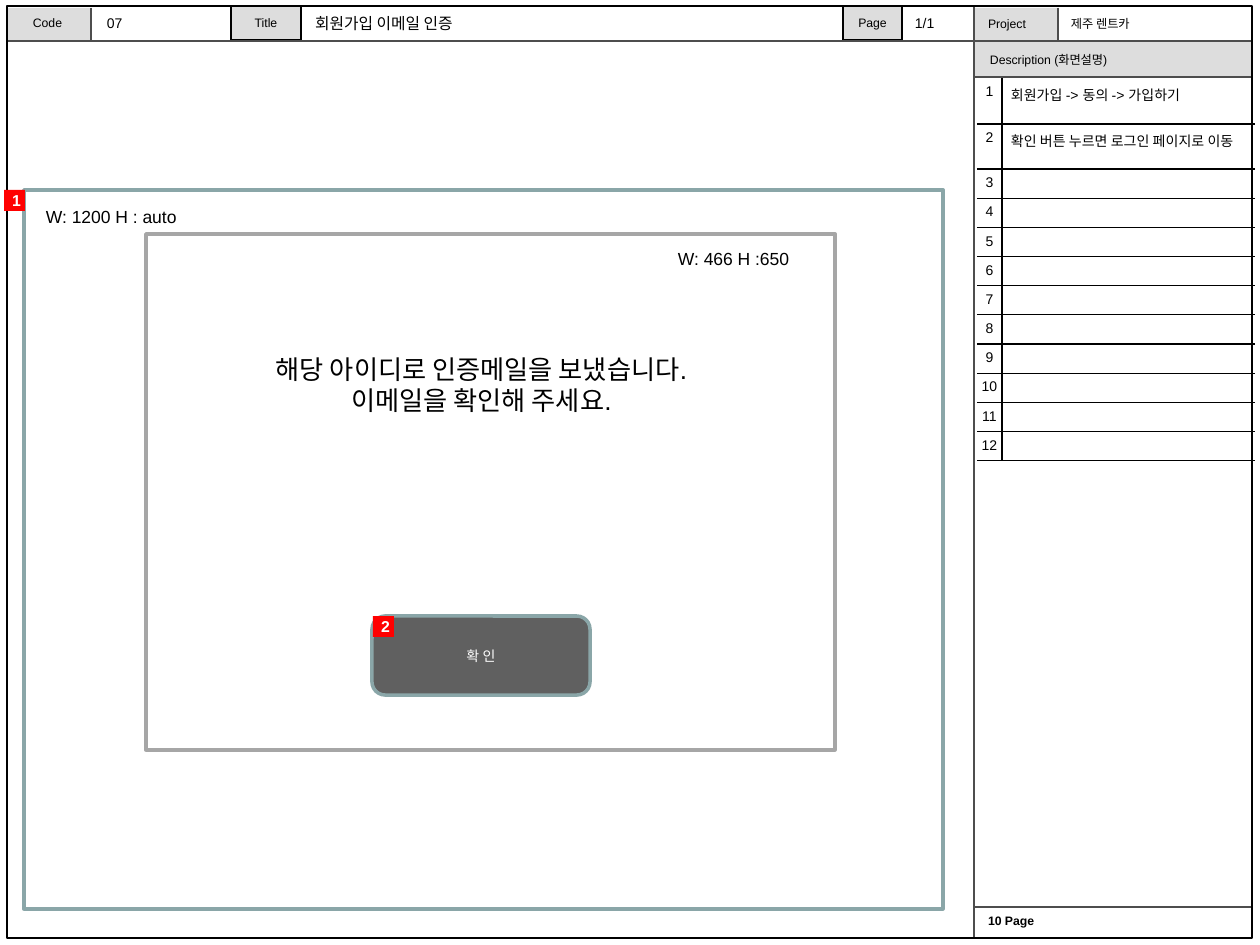
from lxml.etree import SubElement
from pptx import Presentation
from pptx.dml.color import RGBColor
from pptx.enum.shapes import MSO_CONNECTOR, MSO_SHAPE
from pptx.enum.text import MSO_ANCHOR, MSO_AUTO_SIZE, PP_ALIGN
from pptx.oxml.ns import qn
from pptx.util import Pt

PX = 914400 / 126
BLACK = RGBColor(0, 0, 0)
WHITE = RGBColor(255, 255, 255)
LABEL_GRAY = RGBColor(0xDD, 0xDD, 0xDD)
RULE_GRAY = RGBColor(0x4D, 0x4D, 0x4D)
PANEL_GRAY = RGBColor(0xA6, 0xA6, 0xA6)
BUTTON_GRAY = RGBColor(0x60, 0x60, 0x60)
TEAL = RGBColor(0x8A, 0xA6, 0xA8)
RED = RGBColor(255, 0, 0)
LEFT, CENTER = PP_ALIGN.LEFT, PP_ALIGN.CENTER
TOP, MIDDLE = MSO_ANCHOR.TOP, MSO_ANCHOR.MIDDLE
INSETS = (13, 6, 13, 6)
PLAIN_TABLE = "{2D5ABB26-0587-4C30-8999-92F81FD0307C}"

RULES = [
    (974, 6, 974, 939),
    (8, 41, 1252, 41),
    (1058, 8, 1058, 41),
    (975, 907, 1252, 907),
    (975, 77, 1252, 77),
    (91, 8, 91, 41),
]
HEADER_TEXTS = [
    ("Code", (7, 6, 81, 34), dict(size=7, align=CENTER, anchor=MIDDLE)),
    ("Project", (975, 10, 83, 30), dict(size=7)),
    ("제주 렌트카", (1058, 10, 189, 30), dict(size=7)),
    ("10 Page", (978, 908, 270, 30), dict(size=7, bold=True, insets=(10, 5, 10, 5))),
    ("07", (94, 6, 129, 33), dict(size=8, anchor=MIDDLE)),
    ("1/1", (902, 6, 66, 33), dict(size=8, anchor=MIDDLE)),
]
DESCRIPTIONS = ["회원가입 -> 동의 -> 가입하기", "확인 버튼 누르면 로그인 페이지로 이동"] + [""] * 10


def px(value):
    """Turn pixels into EMU."""
    return round(value * PX)


def write(frame, text, size, color=BLACK, bold=False, align=LEFT, anchor=TOP,
          insets=INSETS, wrap=True):
    """Fill a text frame with formatted lines."""
    left, top, right, bottom = map(px, insets)
    settings = dict(text=text, word_wrap=wrap, auto_size=MSO_AUTO_SIZE.NONE,
                    vertical_anchor=anchor, margin_left=left, margin_top=top,
                    margin_right=right, margin_bottom=bottom)
    for name, value in settings.items():
        setattr(frame, name, value)
    for para in frame.paragraphs:
        para.alignment = align
        for span in para.runs:
            style_font(span.font, size, color, bold)


def style_font(font, size, color, bold):
    """Set the face, size, weight and colour of a font."""
    for name, value in dict(name="Arial", size=Pt(size), bold=bold).items():
        setattr(font, name, value)
    font.color.rgb = color


def add_text(page, text, area, **style):
    """Add a text box."""
    write(page.shapes.add_textbox(*map(px, area)).text_frame, text, **style)


def add_box(page, area, fill=None, line=None, weight=0.75,
            kind=MSO_SHAPE.RECTANGLE, text="", **style):
    """Add a filled or outlined shape with optional text."""
    box = page.shapes.add_shape(kind, *map(px, area))
    box.shadow.inherit = False
    if fill is None:
        box.fill.background()
    else:
        box.fill.solid()
        box.fill.fore_color.rgb = fill
    if line is None:
        box.line.fill.background()
    else:
        box.line.color.rgb = line
        box.line.width = Pt(weight)
    if text:
        write(box.text_frame, text, anchor=MIDDLE, **style)


def add_rule(page, ends):
    """Add a thin straight line."""
    rule = page.shapes.add_connector(MSO_CONNECTOR.STRAIGHT, *map(px, ends))
    rule.line.color.rgb = RULE_GRAY
    rule.line.width = Pt(0.75)
    SubElement(rule._element.spPr, qn("a:effectLst"))


def add_badge(page, number, left, top):
    """Add a red number marker."""
    add_box(page, (left, top, 21, 21), RED, text=number, size=9, color=WHITE,
            bold=True, align=CENTER, insets=(4, 0, 0, 0), wrap=False)


def add_borders(cell, sides):
    """Draw black lines on the named sides of a cell."""
    properties = cell._tc.get_or_add_tcPr()
    for position, side in enumerate(sides):
        edge = SubElement(properties, qn(f"a:{side}"), w=str(Pt(0.75)))
        fill = SubElement(edge, qn("a:solidFill"))
        SubElement(fill, qn("a:srgbClr"), val=str(BLACK))
        properties.insert(position, edge)


def fill_cell(cell, text, align, side_inset, sides):
    """Write and border one table cell."""
    cell.fill.background()
    margins = dict(margin_left=side_inset, margin_right=side_inset,
                   margin_top=6, margin_bottom=6)
    for name, value in margins.items():
        setattr(cell, name, px(value))
    cell.text = text
    para = cell.text_frame.paragraphs[0]
    para.alignment = align
    for span in para.runs:
        style_font(span.font, 8, BLACK, False)
    if not text:
        SubElement(para._p, qn("a:endParaRPr"), sz="800")
    add_borders(cell, sides)


def add_descriptions(page):
    """Add the numbered description table."""
    heights = [46, 45] + [29] * 10
    area = (977, 78, 278, sum(heights))
    table = page.shapes.add_table(len(heights), 2, *map(px, area)).table
    table.first_row = table.horz_banding = False
    table._tbl.tblPr.find(qn("a:tableStyleId")).text = PLAIN_TABLE
    for column, width in zip(table.columns, (25, 253)):
        column.width = px(width)
    for index, (height, text) in enumerate(zip(heights, DESCRIPTIONS)):
        table.rows[index].height = px(height)
        level = ("lnT", "lnB") if index else ("lnB",)
        fill_cell(table.cell(index, 0), str(index + 1), CENTER, 2, ("lnR", *level))
        fill_cell(table.cell(index, 1), text, LEFT, 9, ("lnL", *level))


def add_title(page, text, area):
    """Place and format the title placeholder."""
    title = page.shapes.title
    title.left, title.top, title.width, title.height = map(px, area)
    write(title.text_frame, text, size=9, anchor=MIDDLE)


def add_sheet(page):
    """Add the form's header cells, rules and frame."""
    add_box(page, (974, 42, 278, 36), LABEL_GRAY, text="Description (화면설명)",
            size=7, insets=(16, 6, 13, 6))
    for text, area in (("Page", (843, 6, 59, 34)), ("Title", (231, 6, 70, 34))):
        add_box(page, area, LABEL_GRAY, BLACK, text=text, size=7, align=CENTER)
    for left in (7, 974):
        add_box(page, (left, 8, 85, 33), LABEL_GRAY)
    for ends in RULES:
        add_rule(page, ends)
    for text, area, style in HEADER_TEXTS:
        add_text(page, text, area, **style)
    add_box(page, (7, 6, 1245, 932), line=BLACK)


def add_screen(page):
    """Add the wireframe of the confirmation screen."""
    add_box(page, (24, 190, 919, 719), WHITE, TEAL, 2)
    add_box(page, (146, 234, 689, 516), WHITE, PANEL_GRAY, 2)
    add_text(page, "W: 466 H :650", (665, 242, 149, 34), size=10, wrap=False)
    add_text(page, "W: 1200 H : auto", (33, 200, 159, 34), size=10, wrap=False)
    add_text(page, "해당 아이디로 인증메일을 보냈습니다.\n이메일을 확인해 주세요.",
             (228, 347, 507, 77), size=15, align=CENTER)
    add_box(page, (372, 616, 218, 79), BUTTON_GRAY, TEAL, 2,
            MSO_SHAPE.ROUNDED_RECTANGLE, "확 인", size=8, color=WHITE, align=CENTER)
    add_badge(page, "2", 373, 616)
    add_badge(page, "1", 4, 190)


def main():
    """Build and save the slide."""
    deck = Presentation()
    deck.slide_width, deck.slide_height = px(1260), px(945)
    page = deck.slides.add_slide(deck.slide_layouts[5])
    add_sheet(page)
    add_title(page, "회원가입 이메일 인증", (302, 8, 536, 31))
    add_descriptions(page)
    add_screen(page)
    deck.save("out.pptx")


if __name__ == "__main__":
    main()
